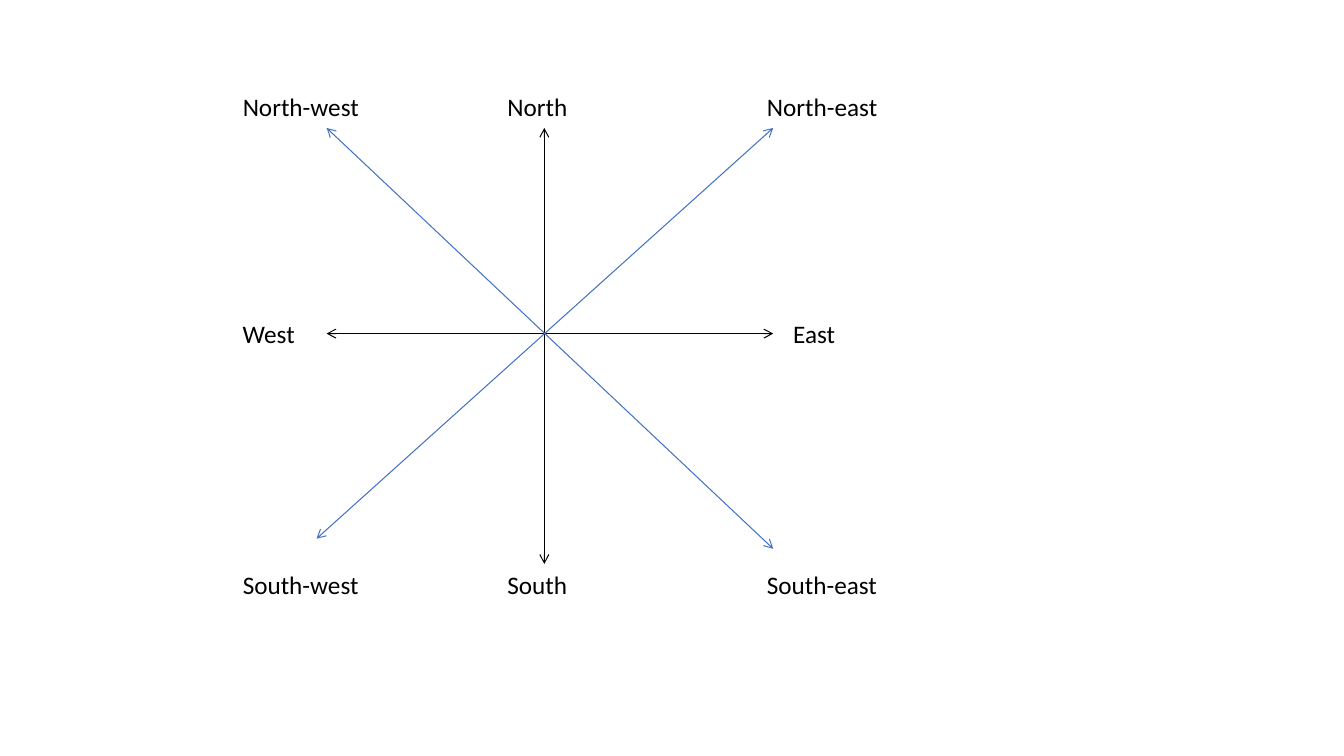
from lxml.etree import SubElement
from pptx import Presentation
from pptx.dml.color import RGBColor
from pptx.enum.shapes import MSO_CONNECTOR
from pptx.enum.text import MSO_AUTO_SIZE
from pptx.oxml.ns import qn
from pptx.util import Pt

BLACK = RGBColor(0x00, 0x00, 0x00)
BLUE = RGBColor(0x44, 0x72, 0xC4)
FONT = "Calibri"
LABEL_HEIGHT = 29


def add_double_arrow(s, x1, y1, x2, y2, color):
    line = s.shapes.add_connector(
        MSO_CONNECTOR.STRAIGHT, Pt(x1), Pt(y1), Pt(x2), Pt(y2))
    line.line.color.rgb = color
    line.line.width = Pt(0.75)
    ln = line.line._get_or_add_ln()
    for end in ("a:headEnd", "a:tailEnd"):
        SubElement(ln, qn(end), type="arrow")
    SubElement(line._element.spPr, qn("a:effectLst"))


def add_label(s, text, x, y, width):
    sp = s.shapes.add_textbox(Pt(x), Pt(y), Pt(width), Pt(LABEL_HEIGHT))
    tf = sp.text_frame
    tf.word_wrap = True
    tf.auto_size = MSO_AUTO_SIZE.SHAPE_TO_FIT_TEXT
    p = tf.paragraphs[0]
    p.text = text
    p.font.name = FONT
    p.font.size = Pt(18)
    p.font.color.rgb = BLACK


def add_compass(s, left, top, width, height):
    """Draw the eight compass directions inside the given box."""
    center_x, center_y = left + 222.5, top + 176.4
    west, east = left + 67, left + 386
    north, south = top + 29.5, top + height - LABEL_HEIGHT

    add_double_arrow(s, center_x, north, center_x, south, BLACK)
    add_double_arrow(s, west, center_y, east, center_y, BLACK)
    add_double_arrow(s, west - 7.2, south - 18, east, north, BLUE)
    add_double_arrow(s, west, north, east, south - 10.8, BLUE)

    short, west_width, east_width = 67, 104.4, 111.6
    middle_x = center_x - short / 2
    east_x = left + width - east_width
    for name, y in (("North", top), ("South", south)):
        add_label(s, f"{name}-west", left, y, west_width)
        add_label(s, name, middle_x, y, short)
        add_label(s, f"{name}-east", east_x, y, east_width)
    middle_y = center_y - LABEL_HEIGHT / 2
    add_label(s, "West", left, middle_y, short)
    add_label(s, "East", east + 7.2, middle_y, short)


def main():
    prs = Presentation()
    prs.slide_width, prs.slide_height = Pt(960), Pt(540)
    s = prs.slides.add_slide(prs.slide_layouts[6])
    add_compass(s, left=166.3, top=61.9, width=486, height=369.9)
    prs.save("out.pptx")


if __name__ == "__main__":
    main()
